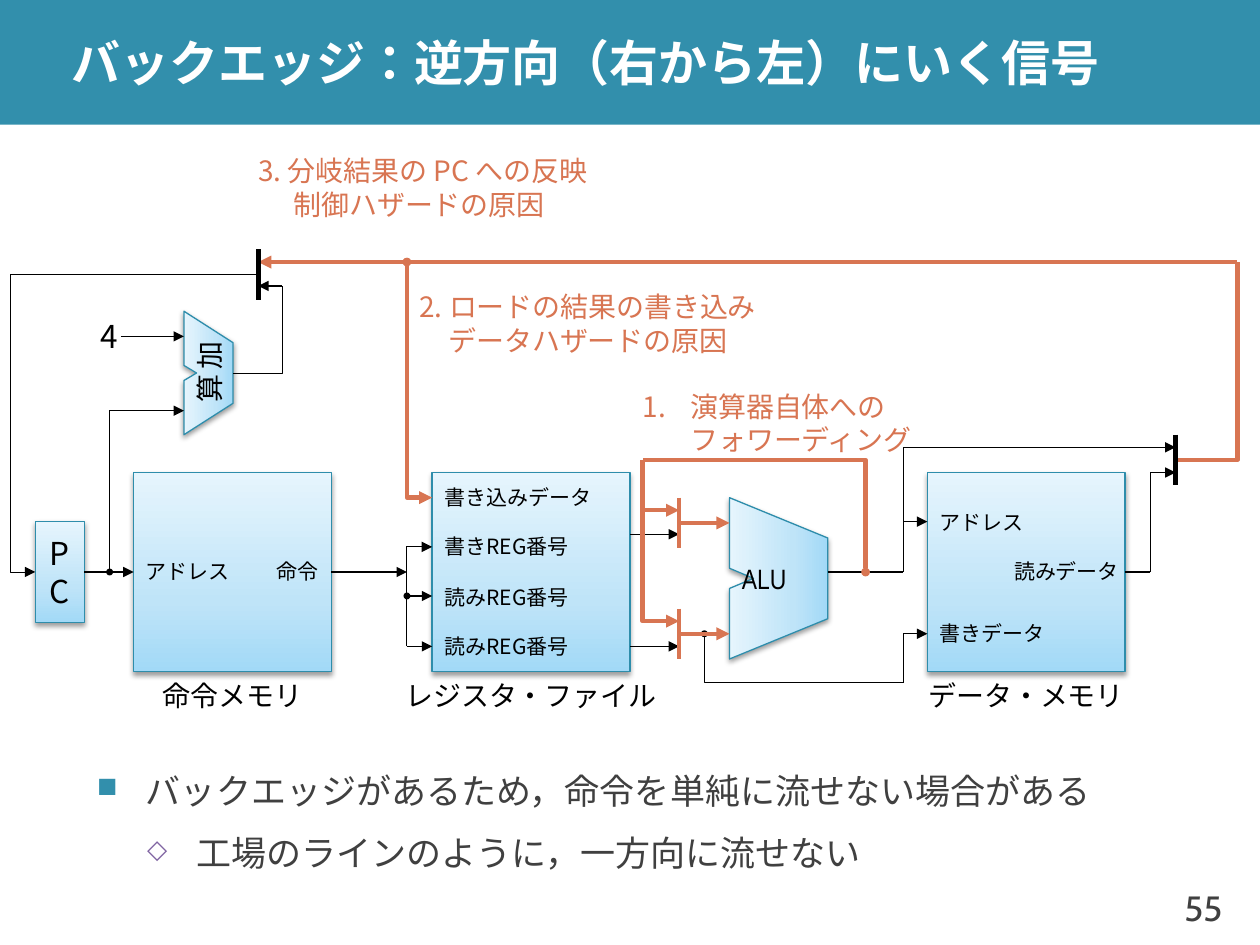
import pptx
import pptx.dml.color
import pptx.enum.lang
import pptx.enum.shapes
import pptx.enum.text
import pptx.oxml
import pptx.oxml.ns
import pptx.util
from copy import deepcopy
from lxml import etree
from pptx.util import Inches

COLORS = {"band": "328FAC", "edge": "2E8DAB", "black": "000000", "white": "FFFFFF",
          "body": "404040", "back": "D87552", "diamond": "8064A2"}
GRADIENT = [(0, "A2D9F7"), (0.35, "BFE4F8"), (1, "E6F5FD")]
JAPANESE = "Noto Sans CJK JP"
ALIGN = pptx.enum.text.PP_ALIGN
RECTANGLE = pptx.enum.shapes.MSO_SHAPE.RECTANGLE
SIDE = (0.1, 0)
NO_MARGIN = (0, 0)
FULL_MARGIN = (0.1, 0.05)


def rgb(name):
    return pptx.dml.color.RGBColor.from_string(COLORS.get(name, name))


def add_child(parent, tag, **attributes):
    child = etree.SubElement(parent, pptx.oxml.ns.qn(tag))
    for key, value in attributes.items():
        child.set(key, str(value))
    return child


def write(shape, text, size, color="black", font=JAPANESE, align=ALIGN.LEFT,
          margins=FULL_MARGIN, bold=False):
    frame = shape.text_frame
    frame.text = text
    frame.word_wrap = True
    frame.vertical_anchor = pptx.enum.text.MSO_ANCHOR.MIDDLE
    frame.margin_left = frame.margin_right = Inches(margins[0])
    frame.margin_top = frame.margin_bottom = Inches(margins[1])
    for paragraph in frame.paragraphs:
        paragraph.alignment = align
        for run in paragraph.runs:
            run.font.size = pptx.util.Pt(size)
            run.font.bold = bold
            run.font.name = font
            run.font.language_id = pptx.enum.lang.MSO_LANGUAGE_ID.JAPANESE
            run.font.color.rgb = rgb(color)
            add_child(run.font._element, "a:ea", typeface=JAPANESE)
    return frame.paragraphs


def add_text(slide, box, text, size, **style):
    return write(slide.shapes.add_textbox(*map(Inches, box)), text, size, **style)


def indent(paragraph, left, first=0):
    properties = paragraph._p.get_or_add_pPr()
    properties.set("marL", str(Inches(left)))
    properties.set("indent", str(Inches(first)))
    return properties


def style_unit(shape):
    """Blue gradient, thin edge and soft shadow of a hardware unit."""
    shape.fill.gradient()
    shape.fill.gradient_angle = 90
    stops = shape._element.spPr.find(".//" + pptx.oxml.ns.qn("a:gsLst"))
    stops.append(deepcopy(stops[0]))
    for stop, (position, color) in zip(shape.fill.gradient_stops, GRADIENT):
        stop.position = position
        stop.color.rgb = rgb(color)
    shape.line.color.rgb = rgb("edge")
    shape.line.width = pptx.util.Pt(0.75)
    shape.shadow.inherit = False
    effects = shape._element.spPr.find(pptx.oxml.ns.qn("a:effectLst"))
    shadow = add_child(effects, "a:outerShdw", blurRad=pptx.util.Pt(3.1),
                       dist=pptx.util.Pt(1.6), dir=5400000, rotWithShape=0)
    add_child(add_child(shadow, "a:srgbClr", val=COLORS["black"]), "a:alpha", val=38000)


def add_block(slide, x, y, width, height):
    block = slide.shapes.add_shape(RECTANGLE, *map(Inches, (x, y, width, height)))
    style_unit(block)
    return block


def outline(slide, points, close):
    start, *rest = [(Inches(x), Inches(y)) for x, y in points]
    builder = slide.shapes.build_freeform(*start, scale=1.0)
    builder.add_line_segments(rest, close=close)
    return builder.convert_to_shape()


def add_operator(slide, box, slant, notch, text, size, font):
    """Notched trapezoid with two inputs at the left, turned so its text is vertical."""
    x, y, width, height = box
    depth, half = notch
    right, bottom, middle = x + width, y + height, y + height / 2
    page_points = [(x, y), (right, y + slant), (right, bottom - slant), (x, bottom),
                   (x, middle + half), (x + depth, middle), (x, middle - half)]
    center = x + width / 2
    turned = [(center - (py - middle), middle + (px - center)) for px, py in page_points]
    operator = outline(slide, turned, close=True)
    operator.rotation = 270
    style_unit(operator)
    write(operator, text, size, font=font, align=ALIGN.CENTER)
    operator.text_frame._txBody.bodyPr.set("vert", "eaVert")


def add_wire(slide, points, color="black", width=None, dot=False, arrow=True,
             source=None, target=None):
    """Straight or bent signal line; source and target are blocks joined at mid-side."""
    straight = len(points) == 2
    if straight:
        ends = [Inches(value) for point in points for value in point]
        wire = slide.shapes.add_connector(pptx.enum.shapes.MSO_CONNECTOR.STRAIGHT, *ends)
        if source is not None:
            wire.begin_connect(source, 3)
        if target is not None:
            wire.end_connect(target, 1)
        add_child(wire._element.spPr, "a:effectLst")
    else:
        wire = outline(slide, points, close=False)
        wire.fill.background()
        wire.shadow.inherit = False
    wire.line.color.rgb = rgb(color)
    wire.line.width = pptx.util.Pt(width or (0.75 if straight else 0.5))
    line = wire.line._get_or_add_ln()
    if dot:
        add_child(line, "a:headEnd", type="oval", w="sm", len="sm")
    if arrow:
        add_child(line, "a:tailEnd", type="triangle")


def add_back_edge(slide, points, **ends):
    add_wire(slide, points, color="back", width=2.5, **ends)


def add_selector(slide, x, y, color="black", width=3):
    add_wire(slide, [(x, y), (x, y + 0.4)], color=color, width=width, arrow=False)


def add_frame(slide):
    band = slide.shapes.add_shape(RECTANGLE, 0, 0, Inches(10), Inches(0.99))
    band.fill.solid()
    band.fill.fore_color.rgb = rgb("band")
    band.line.fill.background()
    band.shadow.inherit = False
    add_text(slide, (0.47, 0, 9.53, 0.99), "バックエッジ：逆方向（右から左）にいく信号", 28,
             color="white", font="Cabin", margins=SIDE, bold=True)
    add_text(slide, (9.13, 6.9, 0.67, 0.6), "55", 20, color="body", font="Cabin",
             align=ALIGN.RIGHT)


def add_summary(slide):
    points = add_text(
        slide, (0.67, 6.11, 9.06, 0.79),
        "バックエッジがあるため，命令を単純に流せない場合がある\n工場のラインのように，一方向に流せない",
        20, color="body", font="Cabin")
    bullets = [("■", "band", 80, 0, 6), ("◇", "diamond", 75, 3, 3)]
    for level, (point, bullet) in enumerate(zip(points, bullets)):
        mark, color, percent, before, after = bullet
        properties = indent(point, 0.39 + 0.4 * level, -0.39)
        add_child(add_child(properties, "a:buClr"), "a:srgbClr", val=COLORS[color])
        add_child(properties, "a:buSzPct", val=percent * 1000)
        add_child(properties, "a:buChar", char=mark)
        point.level = level
        point.line_spacing = 1.1
        point.space_before = pptx.util.Pt(before)
        point.space_after = pptx.util.Pt(after)


def add_units(slide):
    memories = []
    for x, name in [(1.06, "命令メモリ"), (3.43, "レジスタ・ファイル"), (7.36, "データ・メモリ")]:
        memories.append(add_block(slide, x, 3.75, 1.57, 1.58))
        add_text(slide, (x - 0.3, 5.32, 2.17, 0.39), name, 16, align=ALIGN.CENTER,
                 margins=NO_MARGIN)
    counter = add_block(slide, 0.28, 4.14, 0.39, 0.8)
    write(counter, "PC", 18, align=ALIGN.CENTER)
    add_operator(slide, (5.79, 3.95, 0.78, 1.28), 0.32, (0.19, 0.08), "ALU", 16, "Arial Narrow")
    add_operator(slide, (1.46, 2.47, 0.39, 0.98), 0.25, (0.1, 0.06), "加算", 16, JAPANESE)
    add_text(slide, (0.67, 2.47, 0.39, 0.39), "4", 18, align=ALIGN.CENTER)
    ports = [(1.06, 4.34, 0.9, "アドレス"), (3.43, 3.75, 1.5, "書き込みデータ"),
             (3.43, 4.14, 1.5, "書きREG番号"), (3.43, 4.54, 1.5, "読みREG番号"),
             (3.43, 4.93, 1.5, "読みREG番号"), (7.36, 3.95, 1.2, "アドレス"),
             (7.36, 4.83, 1.2, "書きデータ"), (7.95, 4.34, 1.1, "読みデータ")]
    for x, y, width, name in ports:
        add_text(slide, (x, y, width, 0.39), name, 12, margins=SIDE)
    add_text(slide, (1.96, 4.34, 0.67, 0.39), "命令", 12, align=ALIGN.RIGHT, margins=SIDE)
    return counter, memories


def add_forward_wires(slide, counter, memories):
    instructions, _, data = memories
    add_wire(slide, [(0.67, 4.54), (1.06, 4.54)], source=counter, target=instructions)
    add_wire(slide, [(2.63, 4.54), (3.23, 4.54)], source=instructions)
    add_wire(slide, [(8.93, 4.54), (9.13, 4.54)], arrow=False, source=data)
    add_wire(slide, [(3.23, 4.73), (3.43, 4.73)], dot=True)
    add_wire(slide, [(0.87, 4.54), (0.87, 3.26), (1.46, 3.26)], dot=True)
    add_wire(slide, [(5.59, 5.03), (5.59, 5.42), (7.17, 5.42)], dot=True, arrow=False)
    for route in [[(0.96, 2.67), (1.46, 2.67)], [(2.24, 2.27), (2.05, 2.27)],
                  [(3.23, 5.13), (3.43, 5.13)], [(5, 4.24), (5.39, 4.24)],
                  [(5, 5.13), (5.39, 5.13)], [(0.08, 2.18), (0.08, 4.54), (0.28, 4.54)],
                  [(3.23, 5.13), (3.23, 4.34), (3.43, 4.34)],
                  [(9.13, 4.54), (9.13, 3.75), (9.33, 3.75)],
                  [(7.17, 5.42), (7.17, 5.03), (7.36, 5.03)],
                  [(7.17, 4.54), (7.17, 4.14), (7.36, 4.14)],
                  [(7.17, 4.14), (7.17, 3.55), (9.33, 3.55)]]:
        add_wire(slide, route)
    for route in [[(1.85, 2.96), (2.24, 2.96), (2.24, 2.27)],
                  [(0.08, 2.18), (2.05, 2.18)], [(6.57, 4.54), (7.17, 4.54)]]:
        add_wire(slide, route, arrow=False)


def add_back_edges(slide):
    add_back_edge(slide, [(3.23, 2.08), (3.23, 3.95), (3.43, 3.95)], dot=True)
    add_back_edge(slide, [(9.82, 2.08), (2.05, 2.08)])
    add_back_edge(slide, [(9.33, 3.65), (9.82, 3.65), (9.82, 2.08)], arrow=False)
    add_back_edge(slide, [(6.87, 4.54), (6.87, 3.65), (5.1, 3.65)], dot=True, arrow=False)
    for x, y in [(2.05, 1.98), (9.33, 3.45)]:
        add_selector(slide, x, y)
    for y in (3.95, 4.83):
        add_back_edge(slide, [(5.1, 3.65), (5.1, y + 0.1), (5.39, y + 0.1)])
        add_back_edge(slide, [(5.39, y + 0.2), (5.79, y + 0.2)])
        add_selector(slide, 5.39, y, color="back", width=2.5)


def add_back_edge_notes(slide):
    notes = [(2.05, 1.2, "3. 分岐結果の PC への反映\n制御ハザードの原因"),
             (3.33, 2.28, "2. ロードの結果の書き込み\vデータハザードの原因"),
             (5.1, 3.07, "演算器自体への\vフォワーディング")]
    branch, load, forwarding = [
        add_text(slide, (x, y, 3.1, 0.57), text, 16, color="back", margins=NO_MARGIN)
        for x, y, text in notes]
    indent(branch[1], 0.28)
    indent(load[0], 0.23, -0.23)
    add_child(indent(forwarding[0], 0.38, -0.38), "a:buAutoNum", type="arabicPeriod")


def main():
    deck = pptx.Presentation()
    deck.slide_width, deck.slide_height = Inches(10), Inches(7.5)
    slide = deck.slides.add_slide(deck.slide_layouts[6])
    add_frame(slide)
    add_summary(slide)
    counter, memories = add_units(slide)
    add_forward_wires(slide, counter, memories)
    add_back_edges(slide)
    add_back_edge_notes(slide)
    deck.save("out.pptx")


if __name__ == "__main__":
    main()
